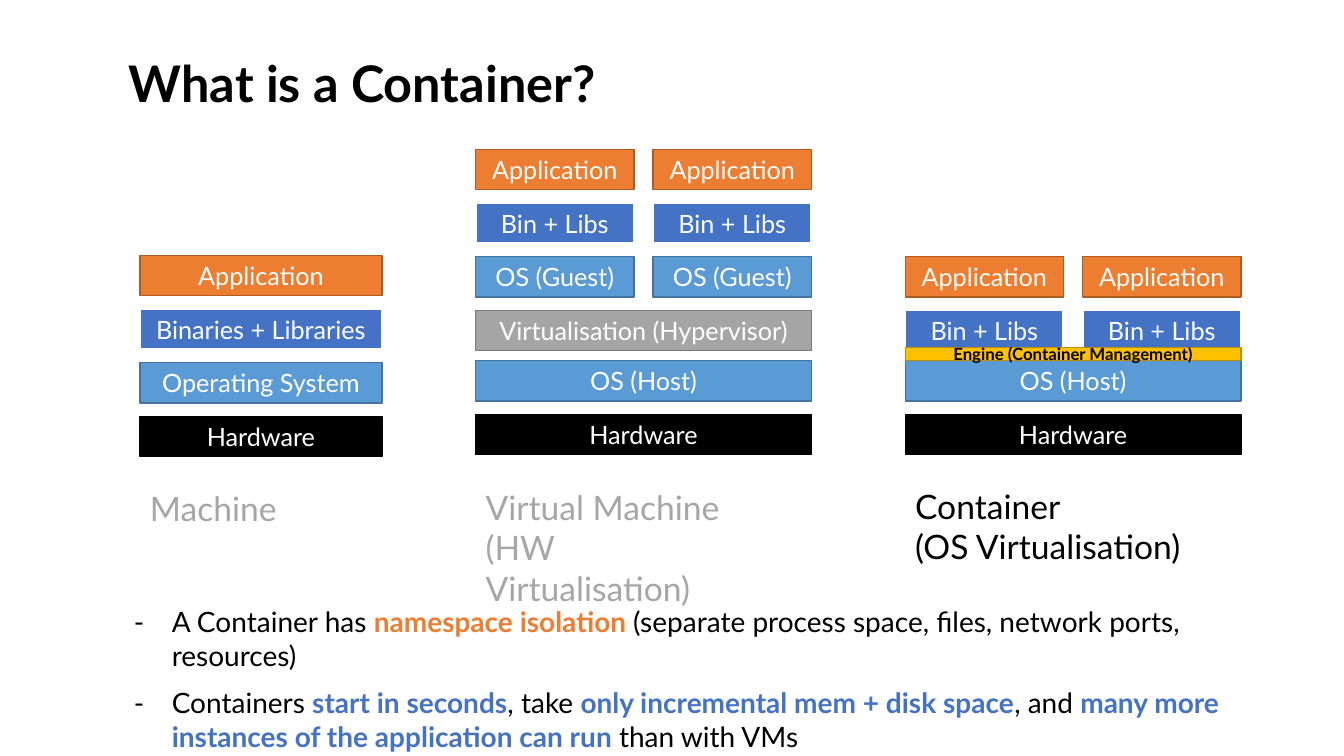
from dataclasses import dataclass

from lxml.etree import SubElement
from pptx import Presentation
from pptx.dml.color import RGBColor
from pptx.enum.shapes import MSO_SHAPE as Preset
from pptx.enum.text import MSO_ANCHOR as Anchor, MSO_AUTO_SIZE as AutoSize, PP_ALIGN as Align
from pptx.oxml.ns import qn
from pptx.util import Pt


@dataclass(frozen=True)
class Theme:
    font: str = "Lato"
    black: str = "000000"
    white: str = "FFFFFF"
    muted: str = "A6A6A6"
    orange: str = "ED7D31"
    blue: str = "4472C4"
    title_size: int = 36
    caption_size: int = 24
    body_size: int = 20
    layer_size: int = 18
    manager_size: int = 12


THEME = Theme()

# Layer kind: fill, line colour, line width
LAYER_STYLES = {
    "hardware": (THEME.black, THEME.black, 1),
    "system": ("5B9BD5", "43739E", 1),
    "libraries": (THEME.blue, THEME.white, 1.5),
    "application": (THEME.orange, "AF5C24", 1),
    "hypervisor": ("A5A5A5", "7A7A7A", 1),
    "manager": ("FFC000", "BD8E00", 1),
}

LAYER_HEIGHT = 28.8
LAYER_PITCH = 38.3
HOST_PITCH = 36  # step from the host system to the layer above it
COLUMN_GAP = 13.7


def format_run(run, size, color, bold=False):
    run.font.name = THEME.font
    run.font.size = Pt(size)
    run.font.bold = bold
    run.font.color.rgb = RGBColor.from_string(color)


def add_text(slide, box, text, size, color, bold=False):
    text_frame = slide.shapes.add_textbox(*map(Pt, box)).text_frame
    text_frame.word_wrap = True
    text_frame.auto_size = AutoSize.SHAPE_TO_FIT_TEXT
    text_frame.text = text
    for paragraph in text_frame.paragraphs:
        for run in paragraph.runs:
            format_run(run, size, color, bold)


def add_layer(slide, box, kind, label, size=THEME.layer_size, color=THEME.white, bold=False):
    fill, line, line_width = LAYER_STYLES[kind]
    shape = slide.shapes.add_shape(Preset.RECTANGLE, *map(Pt, box))
    shape.shadow.inherit = False
    shape.fill.solid()
    shape.fill.fore_color.rgb = RGBColor.from_string(fill)
    shape.line.color.rgb = RGBColor.from_string(line)
    shape.line.width = Pt(line_width)
    text_frame = shape.text_frame
    text_frame.word_wrap = True
    text_frame.vertical_anchor = Anchor.MIDDLE
    text_frame.text = label
    paragraph = text_frame.paragraphs[0]
    paragraph.alignment = Align.CENTER
    format_run(paragraph.runs[0], size, color, bold)


def add_stack(slide, box, layers):
    """Pile layers (kind, label, columns) upwards from the bottom of the box."""
    left, top, width, height = box
    layer_top = top + height - LAYER_HEIGHT
    for kind, label, columns in layers:
        layer_width = (width - (columns - 1) * COLUMN_GAP) / columns
        for column in range(columns):
            layer_left = left + column * (layer_width + COLUMN_GAP)
            add_layer(slide, (layer_left, layer_top, layer_width, LAYER_HEIGHT), kind, label)
        layer_top -= HOST_PITCH if label == "OS (Host)" else LAYER_PITCH


def add_machine(slide, box):
    left, top, width, height = box
    add_text(slide, (left, top + height + 18.7, 136.8, 58), "Machine",
             THEME.caption_size, THEME.muted)
    add_stack(slide, box, [
        ("hardware", "Hardware", 1),
        ("system", "Operating System", 1),
        ("libraries", "Binaries + Libraries", 1),
        ("application", "Application", 1),
    ])


def add_virtual_machine(slide, box):
    left, top, width, height = box
    add_text(slide, (left, top + height + 19.4, 210.2, 87),
             "Virtual Machine\n(HW Virtualisation)", THEME.caption_size, THEME.muted)
    add_stack(slide, box, [
        ("hardware", "Hardware", 1),
        ("system", "OS (Host)", 1),
        ("hypervisor", "Virtualisation (Hypervisor)", 1),
        ("system", "OS (Guest)", 2),
        ("libraries", "Bin + Libs", 2),
        ("application", "Application", 2),
    ])


def add_container(slide, box):
    left, top, width, height = box
    add_text(slide, (left, top + height + 18.7, 206.6, 87),
             "Container\n(OS Virtualisation)", THEME.caption_size, THEME.black)
    add_stack(slide, box, [
        ("hardware", "Hardware", 1),
        ("system", "OS (Host)", 1),
        ("libraries", "Bin + Libs", 2),
        ("application", "Application", 2),
    ])
    # Thin management layer resting on the host system
    add_layer(slide, (left, top + height - 76.4, width, 9), "manager",
              "Engine (Container Management)", THEME.manager_size, THEME.black, True)


def add_bullets(slide, box, bullets):
    """Write dashed points; each is a list of (text, highlight colour or None)."""
    text_frame = slide.shapes.add_textbox(*map(Pt, box)).text_frame
    text_frame.word_wrap = True
    text_frame.auto_size = AutoSize.SHAPE_TO_FIT_TEXT
    for index, parts in enumerate(bullets):
        paragraph = text_frame.add_paragraph() if index else text_frame.paragraphs[0]
        paragraph.space_before = Pt(9.6 if index else 0)
        for text, highlight in parts:
            run = paragraph.add_run()
            run.text = text
            format_run(run, THEME.body_size, highlight or THEME.black, highlight is not None)
        # Hanging indent with a dash
        properties = paragraph._p.get_or_add_pPr()
        properties.set("marL", str(Pt(27)))
        properties.set("indent", str(-Pt(27)))
        SubElement(properties, qn("a:buFont")).set("typeface", THEME.font)
        SubElement(properties, qn("a:buChar")).set("char", "-")


def main():
    presentation = Presentation()
    presentation.slide_width, presentation.slide_height = Pt(960), Pt(540)
    slide = presentation.slides.add_slide(presentation.slide_layouts[6])

    # Title
    add_text(slide, (85, 33.8, 449.3, 72.7), "What is a Container?",
             THEME.title_size, THEME.black, True)

    # Three ways of running an application
    add_machine(slide, (100, 183, 172.8, 143.2))
    add_virtual_machine(slide, (339.8, 106.6, 239.8, 218.2))
    add_container(slide, (646.6, 183, 239.8, 141.8))

    # Key points
    add_bullets(slide, (88.6, 428.4, 833, 111.6), [
        [("A Container has ", None),
         ("namespace isolation ", THEME.orange),
         ("(separate process space, files, network ports, resources)", None)],
        [("Containers ", None),
         ("start in seconds", THEME.blue),
         (", take ", None),
         ("only incremental mem + disk space", THEME.blue),
         (", and ", None),
         ("many more instances of the application can run ", THEME.blue),
         ("than with VMs", None)],
    ])

    presentation.save("out.pptx")


if __name__ == "__main__":
    main()
